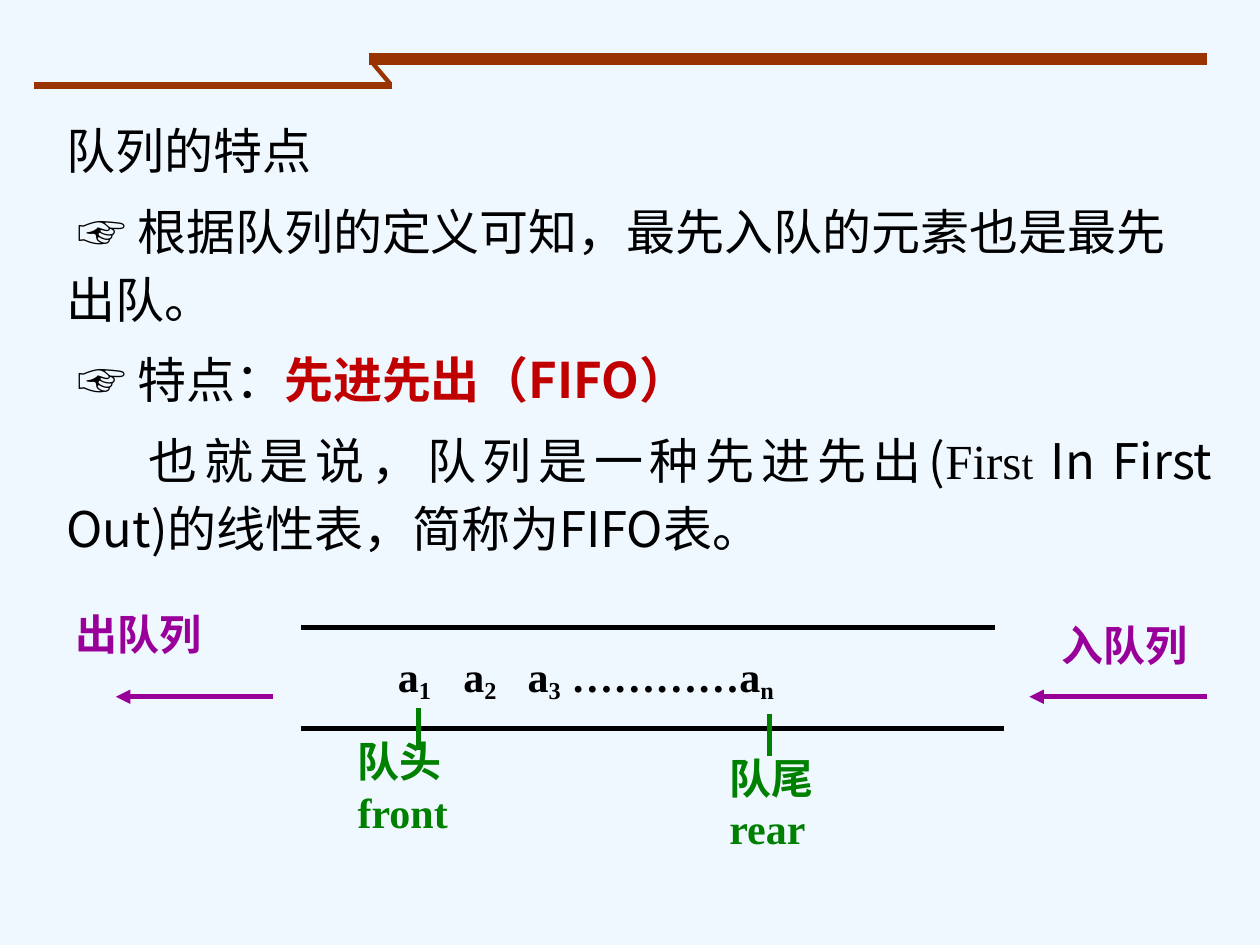
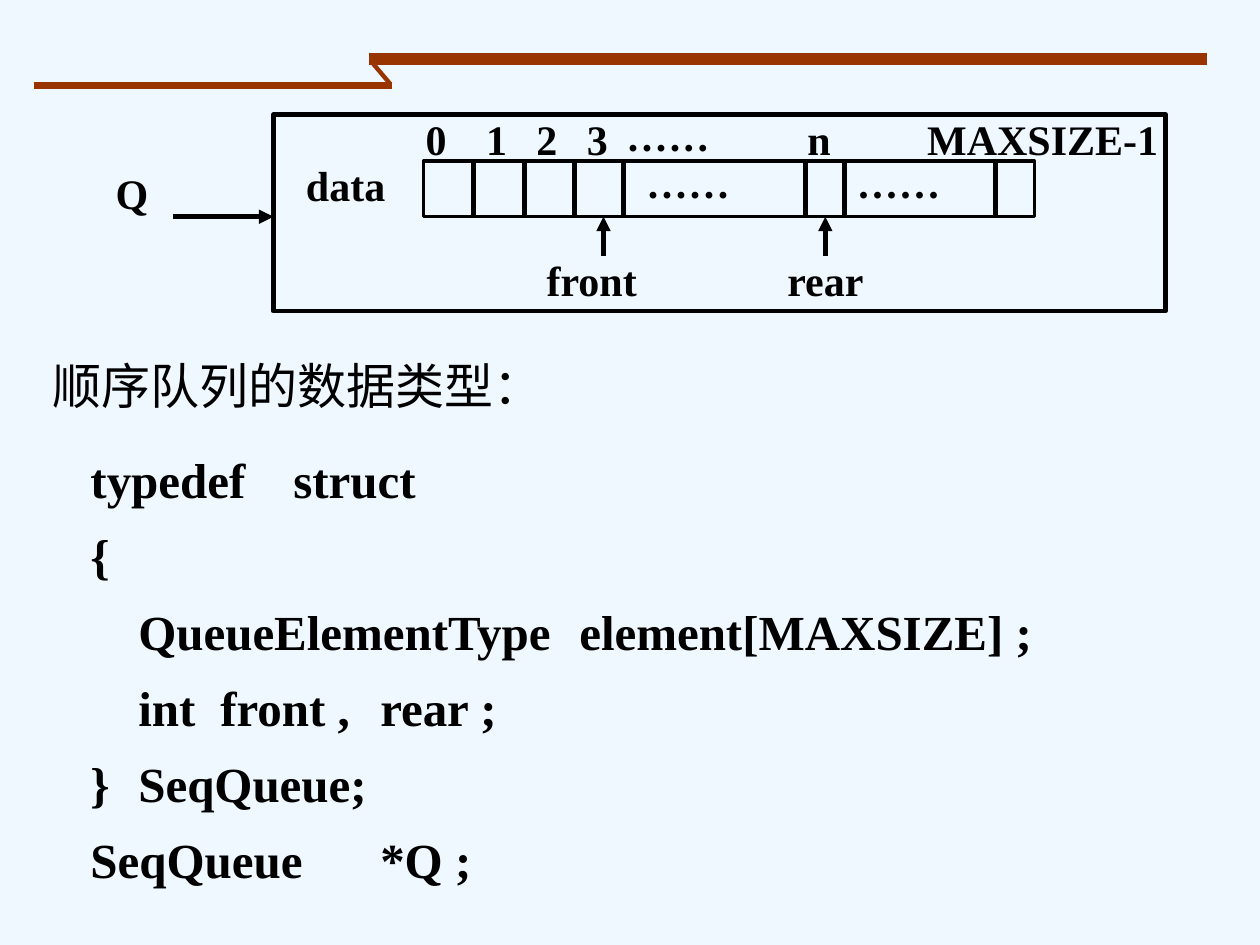
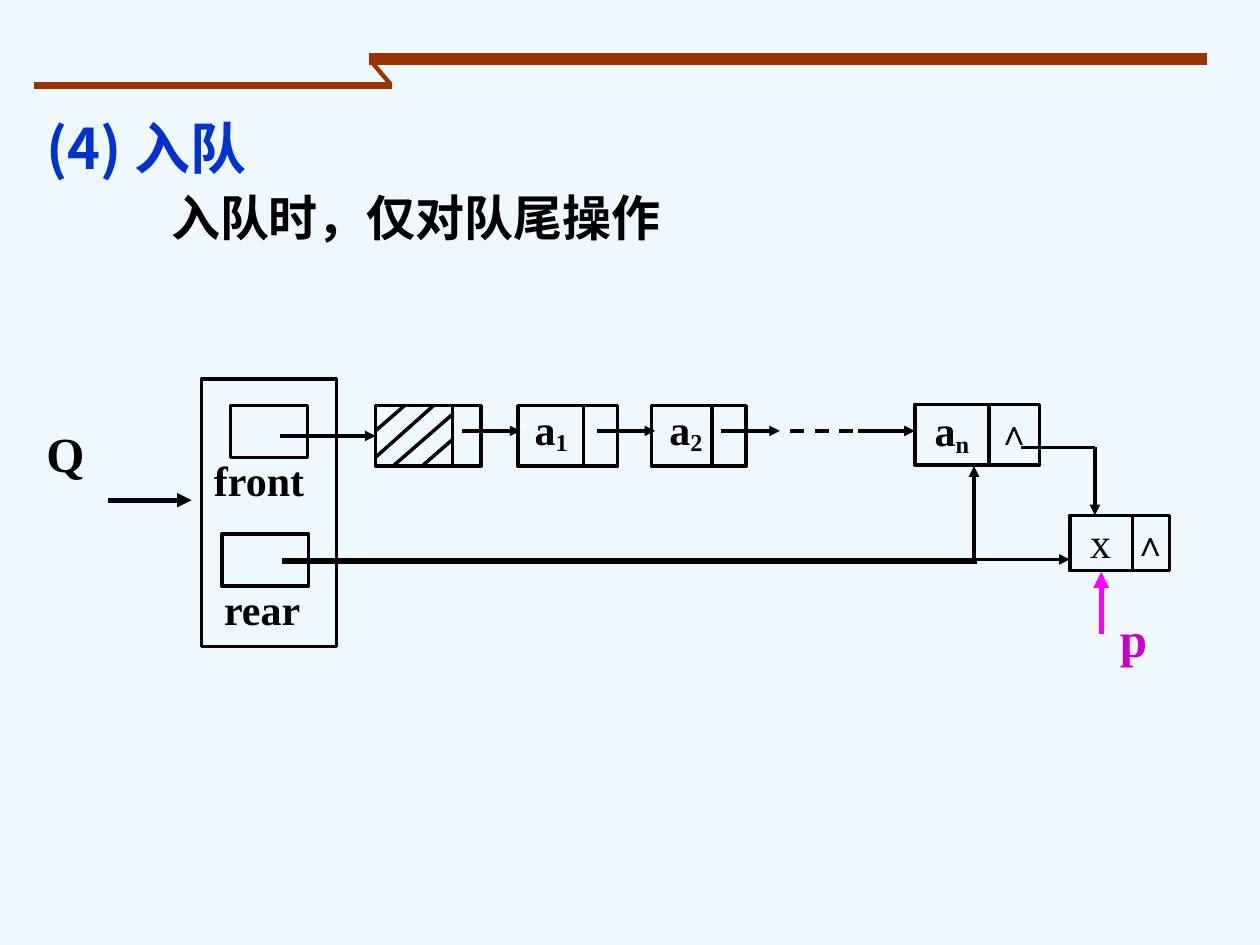
from lxml import etree
from pptx import Presentation
from pptx.dml.color import RGBColor
from pptx.enum.dml import MSO_LINE
from pptx.enum.shapes import MSO_CONNECTOR, MSO_SHAPE
from pptx.enum.text import MSO_ANCHOR, PP_ALIGN
from pptx.oxml.ns import qn
from pptx.util import Inches, Pt

STRAIGHT, RECT, DASH = MSO_CONNECTOR.STRAIGHT, MSO_SHAPE.RECTANGLE, MSO_LINE.DASH
TOP, CENTER, JUSTIFY = MSO_ANCHOR.TOP, PP_ALIGN.CENTER, PP_ALIGN.JUSTIFY

SANS, SERIF = "Noto Sans CJK SC", "Times New Roman"
BLACK, BROWN, PURPLE, GREEN = "000000", "993300", "990099", "008000"
RED, BLUE, MAGENTA, VIOLET = "C00000", "0033CC", "FF00FF", "CC00CC"
BACKGROUND = "F0F8FF"
rgb = RGBColor.from_string


def line(s, x1, y1, x2, y2, color=BLACK, width=2.75, arrow=False, dash=None):
    c = s.shapes.add_connector(STRAIGHT, Inches(x1), Inches(y1), Inches(x2), Inches(y2))
    c.line.color.rgb = rgb(color)
    c.line.width = Pt(width)
    if dash:
        c.line.dash_style = dash
    if arrow:
        etree.SubElement(c.line._get_or_add_ln(), qn("a:tailEnd"), type="triangle")
    etree.SubElement(c._element.spPr, qn("a:effectLst"))
    return c


def box(s, at, paras=(), border=None, align=None, spacing=None, before=0, tabs=(), **base):
    """A text box, or a rectangle when a border width is given.

    Each paragraph is a string or a list of (text, format changes) runs.
    """
    place = [Inches(v) for v in at]
    if border:
        sp = s.shapes.add_shape(RECT, *place)
        sp.shadow.inherit = False
        sp.fill.background()
        sp.line.color.rgb = rgb(BLACK)
        sp.line.width = Pt(border)
        return sp
    sp = s.shapes.add_textbox(*place)
    tf = sp.text_frame
    tf.word_wrap = True
    tf.vertical_anchor = TOP
    for i, runs in enumerate(paras):
        p = tf.paragraphs[0] if i == 0 else tf.add_paragraph()
        for name, value in dict(alignment=align, line_spacing=spacing, space_before=Pt(before)).items():
            setattr(p, name, value)
        if tabs:
            stops = etree.SubElement(p._p.get_or_add_pPr(), qn("a:tabLst"))
            for stop in tabs:
                etree.SubElement(stops, qn("a:tab"), pos=str(Inches(stop)), algn="l")
        for text, changes in [(runs, {})] if isinstance(runs, str) else runs:
            fmt = dict(size=24, bold=True, name=SERIF, color=BLACK, sub=0) | base | changes
            r = p.add_run()
            r.text = text
            r.font.color.rgb = rgb(fmt.pop("color"))
            sub = fmt.pop("sub")
            for name, value in (fmt | {"size": Pt(fmt["size"])}).items():
                setattr(r.font, name, value)
            rPr = r._r.get_or_add_rPr()
            etree.SubElement(rPr, qn("a:ea"), typeface=SANS)
            if sub:
                rPr.set("baseline", str(sub * 1000))
    return sp


prs = Presentation()
prs.slide_width, prs.slide_height = Inches(10), Inches(7.5)
fill = prs.slide_master.background.fill
fill.solid()
fill.fore_color.rgb = rgb(BACKGROUND)

# Shared stepped band at the top of every slide
slides = [prs.slides.add_slide(prs.slide_layouts[6]) for _ in range(3)]
for s in slides:
    for x1, y1, x2, y2, width in [(2.93, 0.47, 9.58, 0.47, 6.5),
                                  (0.27, 0.68, 3.11, 0.68, 4),
                                  (2.94, 0.48, 3.1, 0.67, 2.5)]:
        line(s, x1, y1, x2, y2, BROWN, width)

# Slide 1: what a queue is
s = slides[0]
serif = dict(name=SERIF)
sp = box(s, (0.43, 0.84, 9.29, 5.03), [
    "队列的特点",
    [(" ", {}), ("☞ ", serif), ("根据队列的定义可知，最先入队的元素也是最先出队。", {})],
    [(" ", {}), ("☞ ", serif), ("特点：", {}), ("先进先出（FIFO）", dict(color=RED, bold=True))],
    [("也就是说，队列是一种先进先出(", {}), ("Firs", serif), ("t", serif | dict(size=24)),
     (" In First Out)的线性表，简称为FIFO表。", {})],
], spacing=1.15, before=7.5, size=28, bold=False, name=SANS)
p = sp.text_frame.paragraphs[-1]
p.alignment = JUSTIFY
p._p.get_or_add_pPr().set("indent", str(Inches(0.65)))

# Queue channel with its elements
line(s, 2.39, 4.98, 7.9, 4.98)
line(s, 2.39, 5.78, 7.97, 5.78)
low = dict(sub=-18)
box(s, (3.06, 5.11, 5.43, 0.5), [[("a", {}), ("1", low), ("\ta", {}), ("2", low), ("\ta", {}),
                                  ("3", low), (" …………a", {}), ("n", low)]], tabs=(0.52, 1.03))

# Leaving and entering, then head and tail
for label, x, y, w, start, end in [("出队列", 0.5, 4.78, 1.83, 2.17, 0.92),
                                   ("入队列", 8.33, 4.87, 1.67, 9.58, 8.17)]:
    line(s, start, 5.53, end, 5.53, PURPLE, arrow=True)
    box(s, (x, y, w, 0.5), [label], color=PURPLE)
for label, x, y, w, mark_x, mark_y in [("队头front", 2.74, 5.79, 1.17, 3.32, 5.62),
                                       ("队尾 rear", 5.69, 5.92, 1.25, 6.11, 5.67)]:
    box(s, (x, y, w, 0.9), [label], color=GREEN)
    line(s, mark_x, mark_y + 0.33, mark_x, mark_y, GREEN)

# Slide 2: sequential queue, its record and array
s = slides[1]
box(s, (0.62, 3.45, 8.4, 3.71), [
    "typedef\tstruct",
    "{",
    "\tQueueElementType\telement[MAXSIZE] ;",
    "\tint\tfront ,\trear ;",
    "}\tSeqQueue;",
    "SeqQueue\t*Q ;",
], spacing=1.15, before=4.8, tabs=(0.38, 1.03, 1.61, 2.3, 3.88), size=28)
box(s, (2.17, 0.91, 7.08, 1.56), border=2.75)
box(s, (3.36, 1.28, 4.85, 0.44), border=2)
for x in (3.76, 4.16, 4.56, 4.95, 6.39, 6.7, 7.9):
    line(s, x, 1.28, x, 1.72)

# Indexes, field names and pointers
for label, x, y, w in [("0", 3.28, 0.85, 0.56), ("1", 3.76, 0.85, 0.48), ("2", 4.16, 0.85, 0.64),
                       ("3", 4.56, 0.85, 0.56), ("n", 6.31, 0.85, 0.48),
                       ("MAXSIZE-1", 7.26, 0.85, 2.15), ("front", 4.24, 1.97, 1.27),
                       ("rear", 6.15, 1.97, 1.19), ("······", 4.87, 0.91, 0.95),
                       ("······", 5.03, 1.28, 0.95), ("······", 6.7, 1.28, 0.95),
                       ("data", 2.33, 1.22, 1.19), ("Q", 0.82, 1.28, 0.8)]:
    box(s, (x, y, w, 0.5), [label])
for x in (4.79, 6.55):
    line(s, x, 2.03, x, 1.72, arrow=True)
line(s, 1.37, 1.72, 2.17, 1.72, arrow=True)
box(s, (0.32, 2.77, 4.63, 0.57), ["顺序队列的数据类型："], size=28, bold=False)

# Slide 3: entering a linked queue
s = slides[2]
box(s, (0.27, 0.85, 6.17, 0.63), ["(4) 入队"], size=32, name=SANS, color=BLUE)
box(s, (1.26, 1.44, 6.5, 0.57), ["入队时，仅对队尾操作"], size=28, name=SANS)

# Queue record with its two pointers
for at in [(1.6, 3.01, 1.07, 2.12), (1.83, 3.22, 0.61, 0.41), (1.76, 4.24, 0.69, 0.41)]:
    box(s, at, border=2)
box(s, (1.6, 3.56, 1.3, 0.5), ["front"])
box(s, (1.68, 4.58, 1.22, 0.5), ["rear"])
box(s, (0.27, 3.31, 0.75, 0.57), ["Q"], size=28)
line(s, 0.86, 3.97, 1.52, 3.97, arrow=True)

# Nodes: frame, then divider between data and link
head = box(s, (2.98, 3.22, 0.84, 0.48), border=2)
for x, y, w, h in [(4.11, 3.22, 0.79, 0.48), (5.17, 3.22, 0.75, 0.48),
                   (7.26, 3.21, 0.99, 0.48), (8.49, 4.09, 0.79, 0.44)]:
    box(s, (x, y, w, h), border=2)
for x in (3.59, 4.63, 5.65, 7.85):
    line(s, x, 3.22, x, 3.7, width=2)
line(s, 8.99, 4.09, 8.99, 4.54, width=1.5)
for index, x, y, w in [("1", 3.98, 3.15, 0.79), ("2", 4.97, 3.15, 0.95), ("n", 7.26, 3.16, 0.59)]:
    box(s, (x, y, w, 0.5), [[("a", {}), (index, dict(sub=-16))]], align=CENTER)
box(s, (8.49, 4.05, 0.49, 0.5), ["x"], align=CENTER, bold=False)
for x, y in [(7.81, 3.21), (8.89, 4.09)]:
    box(s, (x, y, 0.48, 0.43), ["∧"], align=CENTER, size=20)

# Hatching of the head node
for x1, y1, x2, y2 in [(3.21, 3.22, 2.98, 3.42), (3.44, 3.22, 2.98, 3.63),
                       (3.59, 3.29, 3.13, 3.69), (3.59, 3.49, 3.36, 3.69)]:
    line(s, x1, y1, x2, y2, width=2)

# Links between nodes
line(s, 2.22, 3.46, 2.98, 3.46, width=2, arrow=True).end_connect(head, 1)
for x1, x2 in [(3.67, 4.13), (4.74, 5.2), (5.72, 6.19), (6.81, 7.26)]:
    line(s, x1, 3.42, x2, 3.42, width=2, arrow=True)
line(s, 6.27, 3.42, 6.81, 3.42, width=2, dash=DASH)

# Rear pointer before and after, and the link to the new node
for x1, y1, x2, y2, arrow in [(2.24, 4.46, 7.75, 4.46, False), (7.73, 4.45, 7.73, 3.7, True),
                              (2.24, 4.44, 8.49, 4.44, True), (8.1, 3.55, 8.69, 3.55, False),
                              (8.69, 3.55, 8.69, 4.09, True)]:
    line(s, x1, y1, x2, y2, width=2, arrow=arrow)
line(s, 8.74, 5.03, 8.74, 4.54, MAGENTA, 3, arrow=True)
box(s, (8.79, 4.78, 0.5, 0.57), ["p"], size=28, color=VIOLET)

prs.save("out.pptx")
